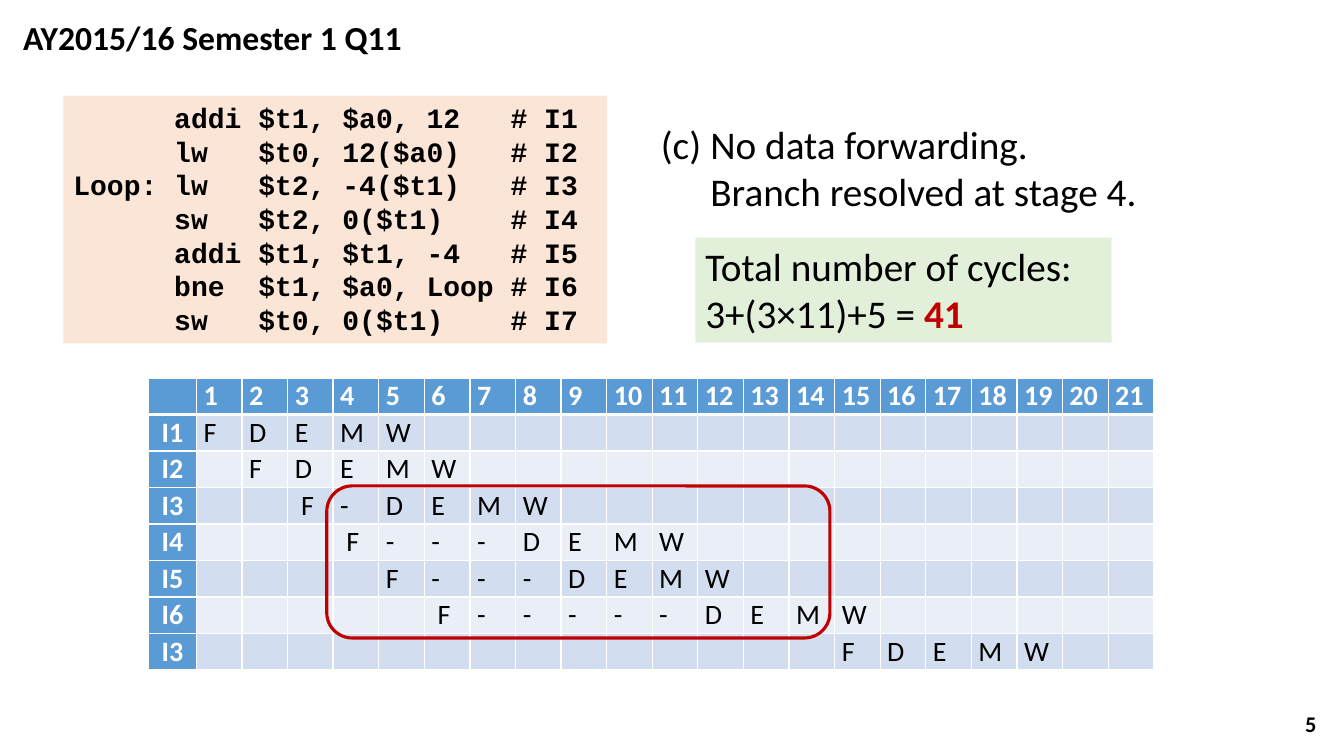
from dataclasses import dataclass

import pptx
import pptx.dml.color
import pptx.enum.shapes
import pptx.enum.text
import pptx.oxml
import pptx.oxml.ns
import pptx.util

PX = 3810  # EMU per px, 240 px to the inch
ALIGN = pptx.enum.text.PP_ALIGN
ANCHOR = pptx.enum.text.MSO_ANCHOR
SHAPE = pptx.enum.shapes.MSO_SHAPE
BLACK, WHITE, RED, BLUE = "000000", "FFFFFF", "C00000", "5B9BD5"
BANDS = ("EAEFF7", "D2DEEF")
CYCLES = 21
Box = tuple[int, int, int, int]


@dataclass
class Style:
    size: int
    bold: bool = False
    color: str = BLACK
    name: str = "Calibri"


@dataclass
class Stages:
    label: str
    start: int
    steps: str
    nudge: bool = False  # first stage sits slightly to the right


BODY = Style(28)
CELL = Style(20)
HEAD = Style(20, True, WHITE)
CODE = Style(20, True, BLACK, "Courier New")

LINES = [
    "      addi $t1, $a0, 12   # I1",
    "      lw   $t0, 12($a0)   # I2",
    "Loop: lw   $t2, -4($t1)   # I3",
    "      sw   $t2, 0($t1)    # I4",
    "      addi $t1, $t1, -4   # I5",
    "      bne  $t1, $a0, Loop # I6",
    "      sw   $t0, 0($t1)    # I7",
]
PIPE = [
    Stages("I1", 1, "FDEMW"),
    Stages("I2", 2, "FDEMW"),
    Stages("I3", 3, "F-DEMW", True),
    Stages("I4", 4, "F---DEMW", True),
    Stages("I5", 5, "F---DEMW"),
    Stages("I6", 6, "F-----DEMW", True),
    Stages("I3", 15, "FDEMW"),
]


def px(count: int) -> int:
    return pptx.util.Emu(count * PX)


def rgb(code: str) -> pptx.dml.color.RGBColor:
    return pptx.dml.color.RGBColor.from_string(code)


def add_run(para, text: str, style: Style) -> None:
    run = para.add_run()
    run.text = text
    form = {"size": pptx.util.Pt(style.size), "bold": style.bold, "name": style.name}
    for key, value in form.items():
        setattr(run.font, key, value)
    run.font.color.rgb = rgb(style.color)


def write(frame, lines: list[str], style: Style, align=ALIGN.LEFT, anchor=ANCHOR.TOP) -> None:
    form = {"word_wrap": True, "vertical_anchor": anchor,
            "auto_size": pptx.enum.text.MSO_AUTO_SIZE.NONE}
    for key, value in form.items():
        setattr(frame, key, value)
    for num, line in enumerate(lines):
        para = frame.add_paragraph() if num else frame.paragraphs[0]
        para.alignment = align
        add_run(para, line, style)


def place(shape, box: Box) -> None:
    for key, value in zip(("left", "top", "width", "height"), box):
        setattr(shape, key, px(value))


def add_text(slide, box: Box):
    return slide.shapes.add_textbox(*map(px, box)).text_frame


def add_panel(slide, box: Box, color: str):
    panel = slide.shapes.add_shape(SHAPE.RECTANGLE, *map(px, box))
    panel.shadow.inherit = False
    panel.fill.solid()
    panel.fill.fore_color.rgb = rgb(color)
    panel.line.fill.background()
    return panel.text_frame


def add_edge(cell, side: str, points: int) -> None:
    cell._tc.get_or_add_tcPr().append(pptx.oxml.parse_xml(
        f'<a:ln{side} {pptx.oxml.ns.nsdecls("a")} w="{points * 12700}">'
        f'<a:solidFill><a:srgbClr val="{WHITE}"/></a:solidFill></a:ln{side}>'))


def add_pipe(slide, box: Box, first: int) -> None:
    rows = len(PIPE) + 1
    frame = slide.shapes.add_table(rows, CYCLES + 1, *map(px, box))
    table = frame.table
    # Cycle columns share the width left by the label column
    span = box[2] - first
    table.columns[0].width = px(first)
    for num in range(1, CYCLES + 1):
        table.columns[num].width = px(span * num // CYCLES - span * (num - 1) // CYCLES)
    for row in table.rows:
        row.height = px(box[3] // rows)
    # Margins, borders and bands
    for row in range(rows):
        for col in range(CYCLES + 1):
            cell = table.cell(row, col)
            form = {"margin_left": px(17), "margin_right": px(17), "margin_top": 0,
                    "margin_bottom": 0, "vertical_anchor": ANCHOR.MIDDLE}
            for key, value in form.items():
                setattr(cell, key, value)
            edges = {"L": 1, "R": 1, "T": 3 if row == 1 else 1, "B": 1 if row else 3}
            for side, points in edges.items():
                add_edge(cell, side, points)
            cell.fill.solid()
            cell.fill.fore_color.rgb = rgb(BANDS[row % 2] if row and col else BLUE)
    # Cycle numbers, labels and stages
    for col in range(1, CYCLES + 1):
        add_run(table.cell(0, col).text_frame.paragraphs[0], str(col), HEAD)
    for row, item in enumerate(PIPE, 1):
        para = table.cell(row, 0).text_frame.paragraphs[0]
        para.alignment = ALIGN.CENTER
        add_run(para, item.label, HEAD)
        for col, step in enumerate(item.steps, item.start):
            add_run(table.cell(row, col).text_frame.paragraphs[0], step, CELL)
        if item.nudge:
            table.cell(row, item.start).margin_left = px(32)


def main() -> None:
    deck = pptx.Presentation()
    deck.slide_width, deck.slide_height = px(3200), px(1800)
    slide = deck.slides.add_slide(deck.slide_layouts[5])

    # Title
    title = slide.shapes.title
    place(title, (31, 29, 979, 120))
    write(title.text_frame, ["AY2015/16 Semester 1 Q11"], Style(24, True))

    # Slide number
    write(add_text(slide, (2438, 1675, 720, 96)), ["5"], Style(16, True),
          ALIGN.RIGHT, ANCHOR.MIDDLE)

    # Case (c), with a hanging indent
    case = add_text(slide, (1550, 274, 1344, 250))
    write(case, ["(c)\tNo data forwarding."], BODY)
    para = case.paragraphs[0]
    para.add_line_break()
    add_run(para, "Branch resolved at stage 4.", BODY)
    props = para._p.get_or_add_pPr()
    hang = px(118)
    props.set("marL", str(hang))
    props.set("indent", str(-hang))
    props.append(pptx.oxml.parse_xml(
        f'<a:tabLst {pptx.oxml.ns.nsdecls("a")}><a:tab pos="{hang}" algn="l"/></a:tabLst>'))

    # Code
    code = add_panel(slide, (151, 228, 1294, 590), "FBE5D6")
    write(code, LINES, CODE)
    for para in code.paragraphs:
        para.line_spacing = pptx.util.Pt(24)

    # Pipeline table
    add_pipe(slide, (353, 900, 2395, 698), 115)

    # Total
    total = add_panel(slide, (1656, 566, 991, 250), "E2F0D9")
    write(total, ["Total number of cycles:", "3+(3×11)+5 = "], BODY)
    add_run(total.paragraphs[1], "41", Style(28, True, RED))

    # Loop outline
    loop = slide.shapes.add_shape(SHAPE.ROUNDED_RECTANGLE, *map(px, (778, 1157, 1198, 362)))
    loop.shadow.inherit = False
    loop.fill.background()
    loop.line.color.rgb = rgb(RED)
    loop.line.width = pptx.util.Pt(2.25)

    deck.save("out.pptx")


if __name__ == "__main__":
    main()
